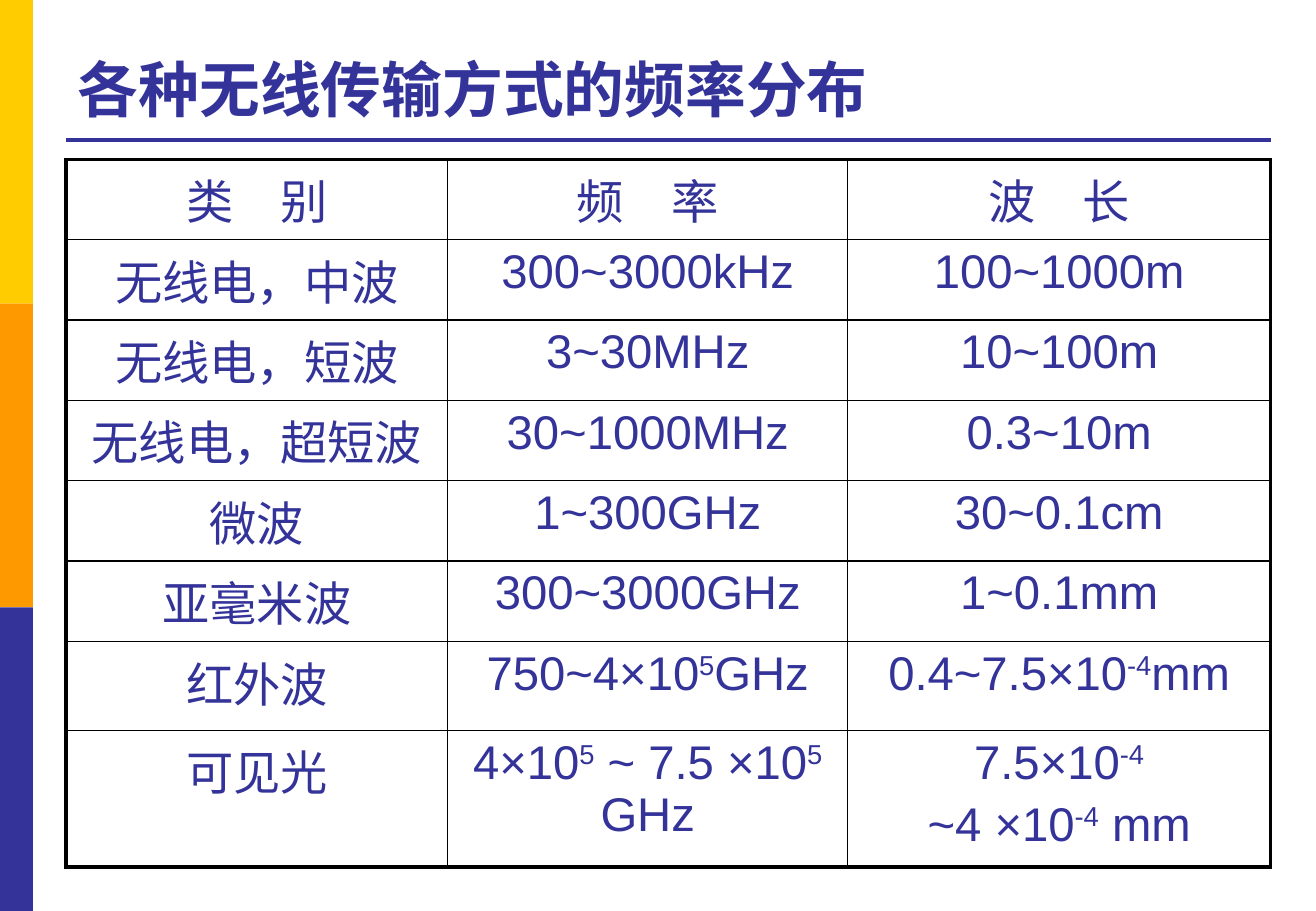
from lxml import etree
from pptx import Presentation
from pptx.dml.color import RGBColor
from pptx.enum.shapes import MSO_CONNECTOR, MSO_SHAPE
from pptx.enum.text import MSO_ANCHOR, PP_ALIGN
from pptx.oxml.ns import qn
from pptx.util import Cm, Pt

RECTANGLE = MSO_SHAPE.RECTANGLE
STRAIGHT = MSO_CONNECTOR.STRAIGHT
BOTTOM = MSO_ANCHOR.BOTTOM
LEFT, CENTER = PP_ALIGN.LEFT, PP_ALIGN.CENTER

# Content: text between ^ marks is superscript, a list holds paragraphs
TITLE = "各种无线传输方式的频率分布"
WAVES = [
    ("类　别", "频　率", "波　长"),
    ("无线电，中波", "300~3000kHz", "100~1000m"),
    ("无线电，短波", "3~30MHz", "10~100m"),
    ("无线电，超短波", "30~1000MHz", "0.3~10m"),
    ("微波", "1~300GHz", "30~0.1cm"),
    ("亚毫米波", "300~3000GHz", "1~0.1mm"),
    ("红外波", "750~4×10^5^GHz", "0.4~7.5×10^-4^mm"),
    ("可见光", "4×10^5^ ~ 7.5 ×10^5^ GHz", ["7.5×10^-4^", "~4 ×10^-4^ mm"]),
]
BAND_COLORS = ["FFCC00", "FF9900", "333399"]
INK, BORDER = "333399", "000000"
FONT = "Arial"

# Layout, in cm
SLIDE_W, SLIDE_H = 27.51, 19.05
BAND_W = 0.69
MARGIN = 1.38
COLUMN_W = [7.98, 8.36, 8.84]
ROW_H = [1.68] * 6 + [1.86, 2.86]
TABLE_W = sum(COLUMN_W)
TABLE_TOP = 3.33
RULE_Y = 2.92
OUTER, INNER = 2.25, 1  # border widths in points


def color(hex_code):
    return RGBColor.from_string(hex_code)


def write(paragraph, text, size, align, bold=False):
    for i, part in enumerate(text.split("^")):
        if part:
            run = paragraph.add_run()
            run.text = part
            if i % 2:
                run._r.get_or_add_rPr().set("baseline", "30000")
    paragraph.alignment = align
    font = paragraph.font
    font.name, font.size, font.bold = FONT, Pt(size), bold
    font.color.rgb = color(INK)


def set_borders(cell, widths):
    properties = cell._tc.get_or_add_tcPr()
    for i, (side, width) in enumerate(widths.items()):
        line = etree.Element(qn("a:ln" + side), w=str(Pt(width)))
        fill = etree.SubElement(line, qn("a:solidFill"))
        etree.SubElement(fill, qn("a:srgbClr"), val=BORDER)
        properties.insert(i, line)


prs = Presentation()
prs.slide_width, prs.slide_height = Cm(SLIDE_W), Cm(SLIDE_H)
slide = prs.slides.add_slide(prs.slide_layouts[6])
shapes = slide.shapes

# Colour bands on the left edge
band_h = SLIDE_H / len(BAND_COLORS)
for i, band_color in enumerate(BAND_COLORS):
    band = shapes.add_shape(RECTANGLE, 0, Cm(i * band_h), Cm(BAND_W), Cm(band_h))
    band.shadow.inherit = False
    band.fill.solid()
    band.fill.fore_color.rgb = color(band_color)
    band.line.fill.background()

# Title and the rule below it
title = shapes.add_textbox(Cm(MARGIN), Cm(0.53), Cm(TABLE_W), Cm(2.21)).text_frame
title.word_wrap = True
title.vertical_anchor = BOTTOM
write(title.paragraphs[0], TITLE, 36, LEFT, bold=True)

rule = shapes.add_connector(STRAIGHT, Cm(MARGIN), Cm(RULE_Y),
                            Cm(MARGIN + TABLE_W), Cm(RULE_Y))
rule.line.color.rgb = color(INK)
rule.line.width = Pt(2.25)
etree.SubElement(rule._element.spPr, qn("a:effectLst"))

# Table of frequencies and wavelengths
table = shapes.add_table(len(WAVES), len(COLUMN_W), Cm(MARGIN), Cm(TABLE_TOP),
                         Cm(TABLE_W), Cm(sum(ROW_H))).table
table.first_row = table.horz_banding = False
for column, width in zip(table.columns, COLUMN_W):
    column.width = Cm(width)
for row, height in zip(table.rows, ROW_H):
    row.height = Cm(height)

last_row, last_column = len(WAVES) - 1, len(COLUMN_W) - 1
for r, wave in enumerate(WAVES):
    for c, entry in enumerate(wave):
        cell = table.cell(r, c)
        cell.fill.background()
        set_borders(cell, {
            "L": OUTER if c == 0 else INNER,
            "R": OUTER if c == last_column else INNER,
            "T": OUTER if r == 0 else INNER,
            "B": OUTER if r == last_row else INNER,
        })
        frame = cell.text_frame
        for i, text in enumerate(entry if isinstance(entry, list) else [entry]):
            paragraph = frame.add_paragraph() if i else frame.paragraphs[0]
            if i:
                paragraph.space_before = Pt(5.6)
            write(paragraph, text, 28, CENTER)

prs.save("out.pptx")
